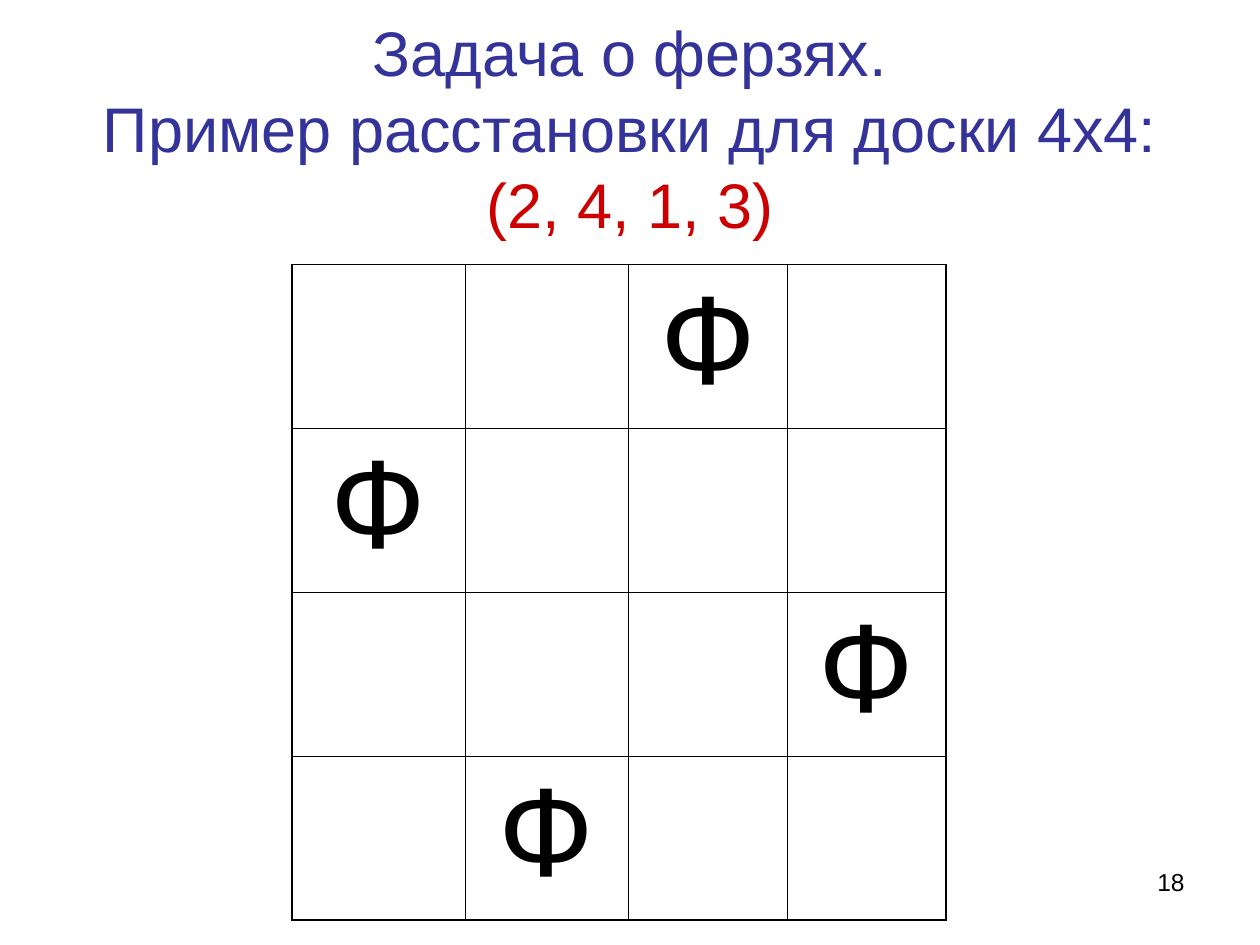
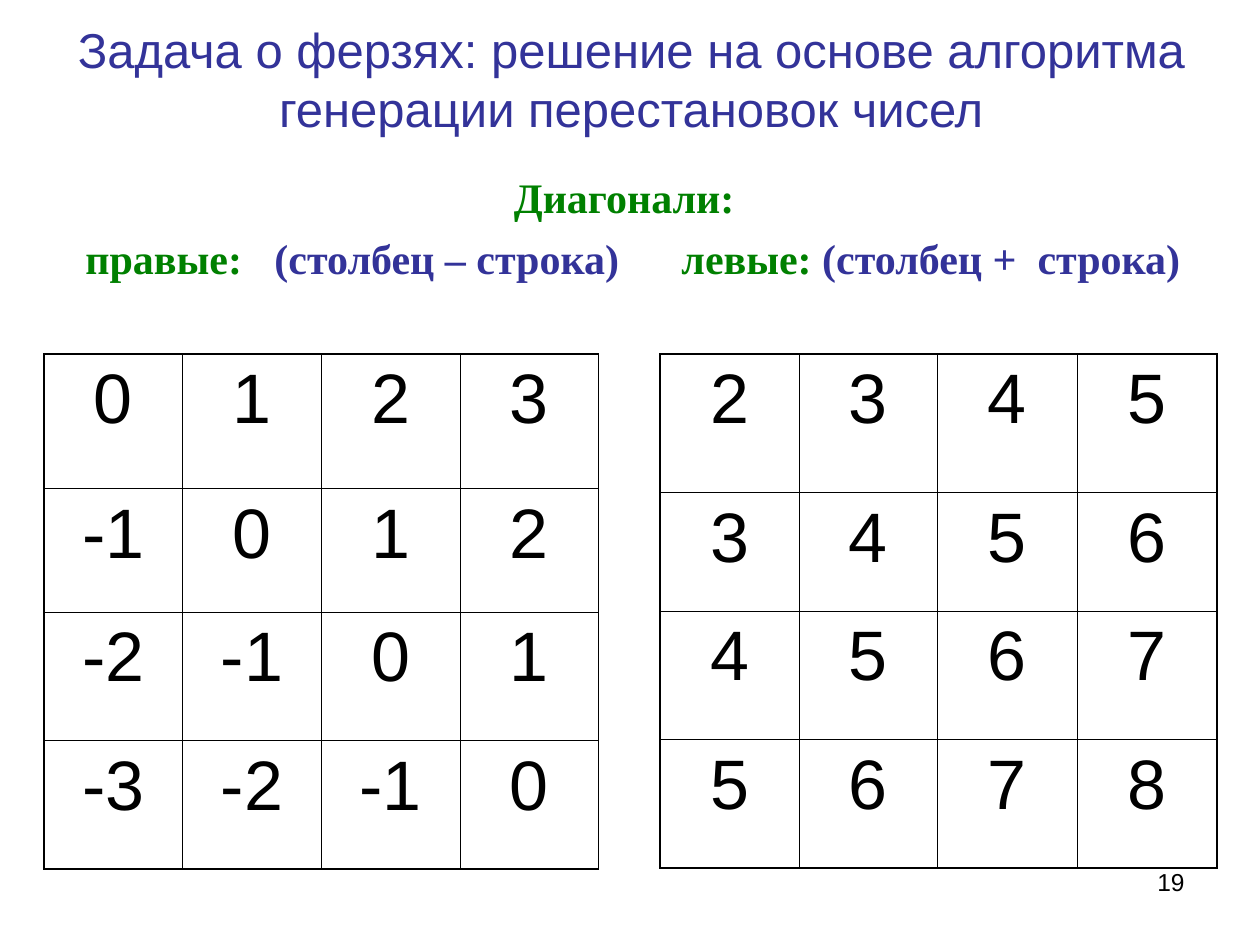
from lxml.etree import SubElement
from pptx import Presentation
from pptx.dml.color import RGBColor
from pptx.enum.text import MSO_ANCHOR as Anchor, PP_ALIGN as Align
from pptx.oxml.ns import qn
from pptx.util import Inches, Pt

COLORS = {"title": "333399", "accent": "CC0000", "label": "008000", "text": "000000"}
SANS, SERIF = "Arial", "Times New Roman"
N = 4
QUEENS = (2, 4, 1, 3)
THIN, THICK = 0.45, 1.08
PAGE_BOX = (7.17, 6.83, 2.33, 0.52)
PLACES = range(1, N + 1)

SLIDES = [
    {
        "page": 18,
        "title": [("Задача о ферзях.\nПример расстановки для доски 4x4:\n", "title"),
                  ("(2, 4, 1, 3)", "accent")],
        "title_box": (0.51, 0, 8.98, 2.02),
        "title_size": 36,
        "lines": [],
        "boards": [
            {"at": (2.32, 2.1), "cols": (1.37, 1.3, 1.26, 1.26), "rows": (1.3,) * N,
             "size": 72, "value": lambda col, row: "Ф" if QUEENS[col - 1] == row else ""},
        ],
    },
    {
        "page": 19,
        "title": [("Задача о ферзях: решение на основе алгоритма генерации перестановок чисел", "title")],
        "title_box": (0.51, 0, 9, 1.25),
        "title_size": 28,
        "lines": [
            {"runs": [("Диагонали: ", "label")], "align": Align.CENTER},
            {"runs": [("правые:\t", "label"), ("(столбец – строка)", "title"),
                      ("\tлевые: ", "label"), ("(столбец +  строка)", "title")],
             "align": Align.LEFT, "indent": 0.08, "tabs": (1.5, 4.73)},
        ],
        "boards": [
            {"at": (5.24, 2.81), "cols": (1.1, 1.1, 1.11, 1.11), "rows": (1.1, 0.94, 1.02, 1.02),
             "size": 40, "value": lambda col, row: str(col + row)},
            {"at": (0.35, 2.81), "cols": (1.1,) * N, "rows": (1.07, 0.98, 1.02, 1.02),
             "size": 40, "value": lambda col, row: str(col - row)},
        ],
    },
]
LINES_BOX = (0.5, 1.31, 8.99, 1.26)


def add_runs(p, runs, align, **font):
    p.alignment = align
    for text, color in runs:
        for i, part in enumerate(text.split("\n")):
            if i:
                p.add_line_break()
            if part:
                r = p.add_run()
                r.text = part
                r.font.color.rgb = RGBColor.from_string(COLORS[color])
                for name, value in font.items():
                    setattr(r.font, name, value)


def add_box(s, box, anchor=Anchor.TOP):
    tf = s.shapes.add_textbox(*map(Inches, box)).text_frame
    tf.word_wrap = True
    tf.vertical_anchor = anchor
    return tf


def add_lines(s, lines):
    tf = add_box(s, LINES_BOX)
    for i, line in enumerate(lines):
        p = tf.add_paragraph() if i else tf.paragraphs[0]
        add_runs(p, line["runs"], line["align"], size=Pt(24), name=SERIF, bold=True)
        p.space_before = Pt(6)
        if "tabs" in line:
            pPr = p._p.get_or_add_pPr()
            pPr.set("marL", str(Inches(line["indent"])))
            tabs = SubElement(pPr, qn("a:tabLst"))
            for pos in line["tabs"]:
                SubElement(tabs, qn("a:tab"), pos=str(Inches(pos)), algn="l")


def set_borders(cell, col, row):
    tcPr = cell._tc.get_or_add_tcPr()
    outer = {"L": col == 1, "R": col == N, "T": row == 1, "B": row == N}
    for side, thick in outer.items():
        ln = SubElement(tcPr, qn(f"a:ln{side}"), w=str(Pt(THICK if thick else THIN)))
        SubElement(SubElement(ln, qn("a:solidFill")), qn("a:srgbClr"), val=COLORS["text"])


def add_board(s, board):
    cols, rows = board["cols"], board["rows"]
    box = (*board["at"], sum(cols), sum(rows))
    table = s.shapes.add_table(N, N, *map(Inches, box)).table
    table.first_row = table.horz_banding = False
    for col, width in zip(table.columns, cols):
        col.width = Inches(width)
    for row, height in zip(table.rows, rows):
        row.height = Inches(height)
    for row in PLACES:
        for col in PLACES:
            cell = table.cell(row - 1, col - 1)
            set_borders(cell, col, row)
            cell.fill.background()
            p = cell.text_frame.paragraphs[0]
            add_runs(p, [(board["value"](col, row), "text")], Align.CENTER,
                     size=Pt(board["size"]), name=SANS)
            p.space_before = Pt(board["size"] / 4)


def main():
    """Build the two slides on the queens problem."""
    prs = Presentation()
    prs.slide_width, prs.slide_height = Inches(10), Inches(7.5)
    for data in SLIDES:
        s = prs.slides.add_slide(prs.slide_layouts[6])
        title = add_box(s, data["title_box"], Anchor.MIDDLE)
        add_runs(title.paragraphs[0], data["title"], Align.CENTER,
                 size=Pt(data["title_size"]), name=SANS)
        if data["lines"]:
            add_lines(s, data["lines"])
        for board in data["boards"]:
            add_board(s, board)
        page = add_box(s, PAGE_BOX)
        add_runs(page.paragraphs[0], [(str(data["page"]), "text")], Align.RIGHT,
                 size=Pt(14), name=SANS)
    prs.save("out.pptx")


if __name__ == "__main__":
    main()
